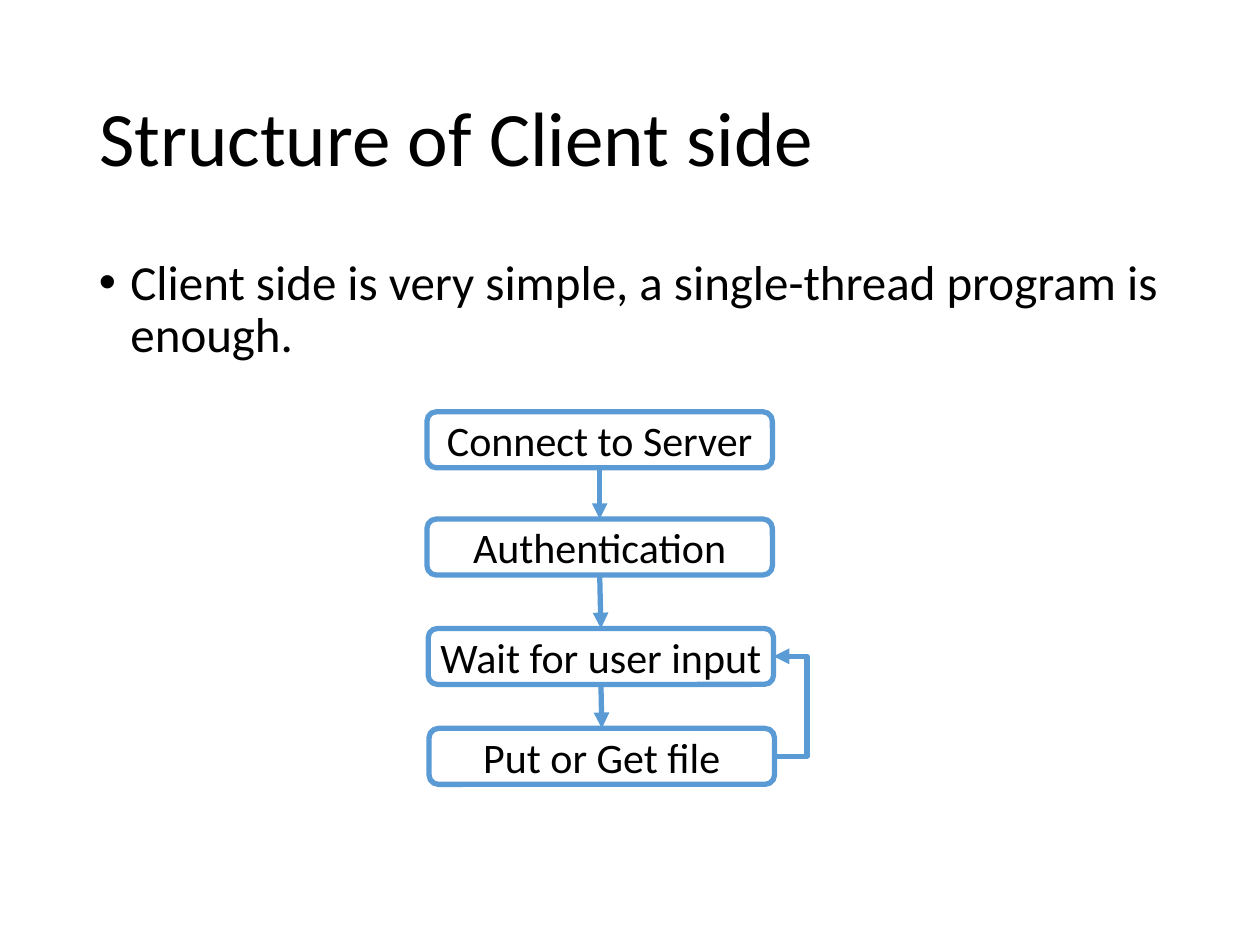
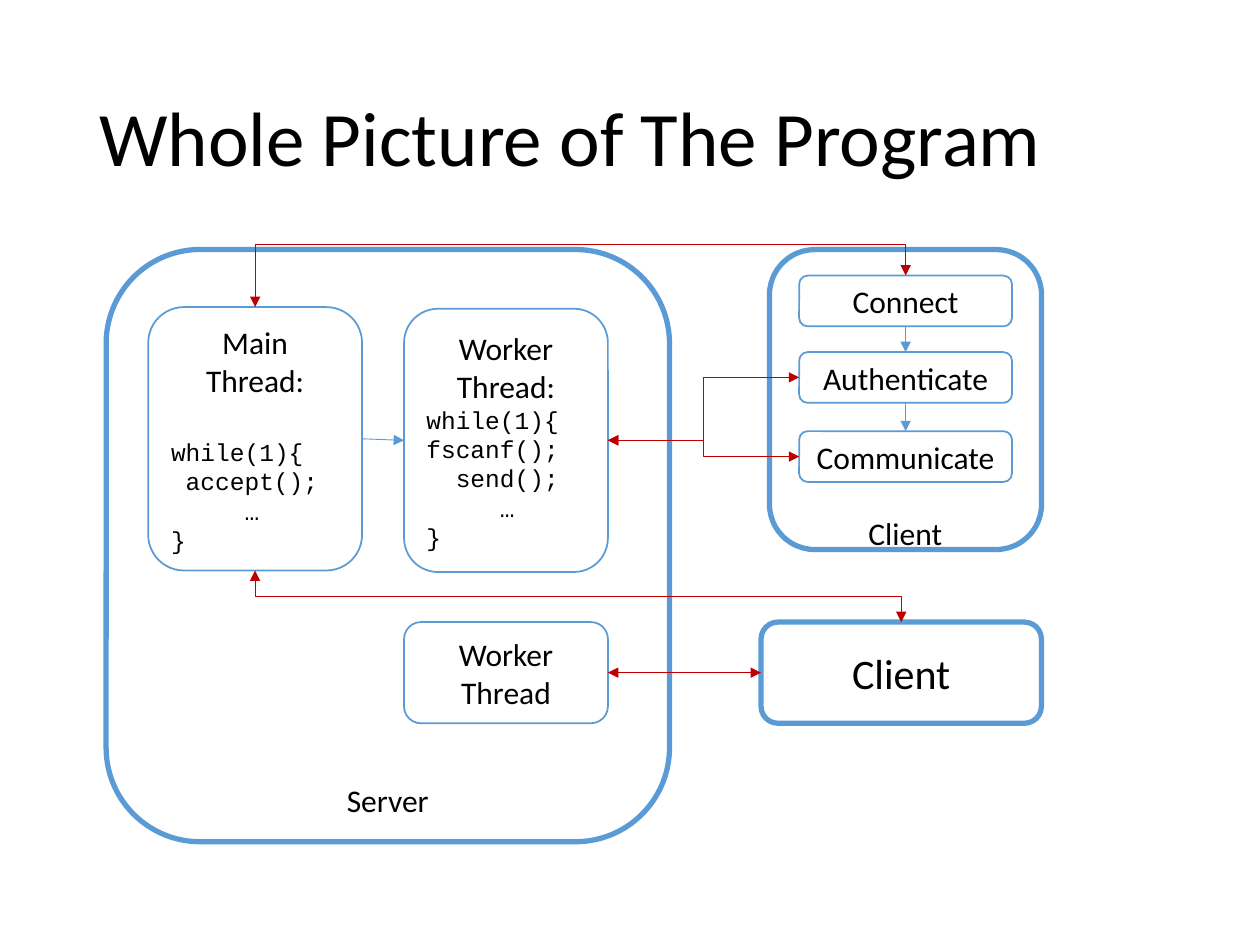
"""Build two slides on the client flow and the whole program."""
from dataclasses import dataclass
from itertools import pairwise
from typing import NamedTuple

from lxml import etree
from pptx import Presentation
from pptx.dml.color import RGBColor
from pptx.enum.shapes import MSO_CONNECTOR, MSO_SHAPE
from pptx.enum.text import MSO_ANCHOR, MSO_AUTO_SIZE, PP_ALIGN
from pptx.oxml.ns import qn
from pptx.util import Pt

ROUND = MSO_SHAPE.ROUNDED_RECTANGLE
LINE, ELBOW = MSO_CONNECTOR.STRAIGHT, MSO_CONNECTOR.ELBOW
TOP, MIDDLE = MSO_ANCHOR.TOP, MSO_ANCHOR.MIDDLE
LEFT, CENTER = PP_ALIGN.LEFT, PP_ALIGN.CENTER
FIXED = MSO_AUTO_SIZE.NONE

BLACK = RGBColor(0x00, 0x00, 0x00)
WHITE = RGBColor(0xFF, 0xFF, 0xFF)
BLUE = RGBColor(0x5B, 0x9B, 0xD5)
RED = RGBColor(0xC0, 0x00, 0x00)
SANS, MONO = "Calibri", "Courier New"
THICK, THIN, HAIR = 3, 1, 0.5
CHAR = 8.4
BOTH = ("headEnd", "tailEnd")
AHEAD = ("tailEnd",)

TIGHT = {"margin_left": Pt(5), "margin_right": Pt(5),
         "margin_top": Pt(2.7), "margin_bottom": Pt(2.7)}
HEADING = {"line_spacing": 0.9, "alignment": LEFT}
BULLET = {**HEADING, "space_before": Pt(10)}


class Point(NamedTuple):
    x: float
    y: float


class Row(NamedTuple):
    text: str
    size: float = 18
    font: str = SANS
    form: dict = {"alignment": CENTER}
    indent: float = 0


@dataclass
class Box:
    x: float
    y: float
    w: float
    h: float
    rows: tuple = ()
    edge: float = THIN
    frame: tuple = ()

    @property
    def area(self) -> list:
        return [Pt(v) for v in (self.x, self.y, self.w, self.h)]

    @property
    def north(self) -> Point:
        return Point(self.x + self.w / 2, self.y)

    @property
    def south(self) -> Point:
        return Point(self.x + self.w / 2, self.y + self.h)

    @property
    def west(self) -> Point:
        return Point(self.x, self.y + self.h / 2)

    @property
    def east(self) -> Point:
        return Point(self.x + self.w, self.y + self.h / 2)


def apply(item, form: dict) -> None:
    for key, value in form.items():
        setattr(item, key, value)


def write(frame, rows: tuple, form: dict) -> None:
    apply(frame, {"word_wrap": True, "auto_size": FIXED, **form})
    for spot, row in enumerate(rows):
        para = frame.add_paragraph() if spot else frame.paragraphs[0]
        apply(para, row.form)
        if row.indent:
            para._p.get_or_add_pPr().set("marL", str(Pt(row.indent)))
        run = para.add_run()
        run.text = row.text
        apply(run.font, {"size": Pt(row.size), "name": row.font})
        run.font.color.rgb = BLACK


def draw(shapes, box: Box) -> None:
    shape = shapes.add_shape(ROUND, *box.area)
    shape.shadow.inherit = False
    shape.fill.solid()
    shape.fill.fore_color.rgb = WHITE
    shape.line.color.rgb = BLUE
    shape.line.width = Pt(box.edge)
    write(shape.text_frame, box.rows,
          {"vertical_anchor": MIDDLE, **dict(box.frame)})


def label(shapes, box: Box, form: dict) -> None:
    write(shapes.add_textbox(*box.area).text_frame, box.rows, form)


def link(shapes, start: Point, end: Point, color: RGBColor = BLUE,
         width: float = HAIR, heads: tuple = AHEAD, kind=LINE):
    line = shapes.add_connector(kind, *(Pt(v) for v in (*start, *end)))
    line.line.color.rgb = color
    line.line.width = Pt(width)
    props = line._element.spPr
    for head in heads:
        etree.SubElement(props.find(qn("a:ln")), qn("a:" + head), type="triangle")
    etree.SubElement(props, qn("a:effectLst"))
    return line


def bend(shapes, start: Point, end: Point, turn: float, upright: bool = False,
         color: RGBColor = RED, width: float = HAIR, heads: tuple = BOTH) -> None:
    dx, dy = end.x - start.x, end.y - start.y
    ratio = (turn - start.y) / dy if upright else (turn - start.x) / dx
    if upright:
        mid = Point((start.x + end.x) / 2, (start.y + end.y) / 2)
        start = Point(mid.x - dy / 2, mid.y + dx / 2)
        end = Point(mid.x + dy / 2, mid.y - dx / 2)
    line = link(shapes, start, end, color, width, heads, ELBOW)
    props = line._element.spPr
    if upright:
        props.find(qn("a:xfrm")).set("rot", "5400000")
    geom = props.find(qn("a:prstGeom"))
    guides = geom.find(qn("a:avLst"))
    if guides is None:
        guides = etree.SubElement(geom, qn("a:avLst"))
    etree.SubElement(guides, qn("a:gd"), name="adj1",
                     fmla=f"val {round(ratio * 100000)}")


def start_slide(deck, text: str):
    slide = deck.slides.add_slide(deck.slide_layouts[5])
    title = slide.shapes.title
    area = (49.5, 28.75, 621, 104.4)
    apply(title, dict(zip(("left", "top", "width", "height"), map(Pt, area))))
    write(title.text_frame, (Row(text, 44, form=HEADING),),
          {"vertical_anchor": MIDDLE})
    return slide.shapes


def code(text: str, chars: int = 0, gap: float = 0) -> Row:
    form = {"alignment": LEFT, "space_before": Pt(gap)}
    return Row(text, 14, MONO, form, chars * CHAR)


def big(text: str) -> tuple:
    return (Row(text, 24),)


def client_side(deck) -> None:
    shapes = start_slide(deck, "Structure of Client side")
    body = Box(49.5, 143.75, 621, 342.6, (Row(
        "Client side is very simple, a single-thread program is enough.",
        28, form=BULLET, indent=18),))
    label(shapes, body, {"vertical_anchor": TOP})
    props = shapes[-1].text_frame.paragraphs[0]._p.get_or_add_pPr()
    props.set("indent", str(-Pt(18)))
    etree.SubElement(props, qn("a:buFont"), typeface="Arial")
    etree.SubElement(props, qn("a:buChar"), char="•")

    tight = tuple(TIGHT.items())
    steps = [Box(x, y, 197.4, 32, big(text), THICK, tight) for x, y, text in (
        (244, 235.3, "Connect to Server"),
        (244, 296.6, "Authentication"),
        (244.7, 359.1, "Wait for user input"),
        (245.2, 416.2, "Put or Get file"))]
    for step in steps:
        draw(shapes, step)
    for last, new in pairwise(steps):
        link(shapes, last.south, new.north, width=THICK)
    bend(shapes, steps[3].east, steps[2].east, 460.8, color=BLUE,
         width=THICK, heads=AHEAD)


def whole(deck) -> None:
    shapes = start_slide(deck, "Whole Picture of The Program")
    draw(shapes, Box(60.7, 142.6, 321.9, 338.4, edge=THICK))
    label(shapes, Box(190.6, 442.8, 62, 28.8, (Row("Server"),)),
          {"word_wrap": False})

    tail = (code("…", 5), code("}"))
    main = Box(84.7, 175.5, 122.2, 150.5, (
        Row("Main"), Row("Thread:"), code("while(1){", gap=22),
        code("accept();", 1), *tail))
    worker = Box(230.9, 176.4, 116.5, 150.5, (
        Row("Worker"), Row("Thread:"), code("while(1){"),
        code("fscanf();"), code("send();", 2), *tail))
    for box in (main, worker):
        draw(shapes, box)
    link(shapes, main.east, worker.west)

    group = shapes.add_group_shape().shapes
    draw(group, Box(439.7, 142.6, 155.5, 171.4, edge=THICK))
    steps = [Box(456.7, y, 121.6, 29, (Row(text),)) for y, text in (
        (157.5, "Connect"), (201.2, "Authenticate"), (246.4, "Communicate"))]
    for step in steps:
        draw(group, step)
    for last, new in pairwise(steps):
        link(group, last.south, new.north)
    label(group, Box(488.8, 290.2, 57, 28.8, (Row("Client"),)),
          {"word_wrap": False})

    bend(shapes, main.north, steps[0].north, 139.7, upright=True)
    for step in steps[1:]:
        bend(shapes, worker.east, step.west, 402)

    spare = Box(230.9, 355.5, 116.5, 57.8, (Row("Worker"), Row("Thread")))
    client = Box(434.9, 355.5, 160.2, 57.8, big("Client"), THICK,
                 tuple(TIGHT.items()))
    for box in (spare, client):
        draw(shapes, box)
    link(shapes, spare.east, client.west, RED, heads=BOTH)
    bend(shapes, client.north, main.south, 340.8, upright=True)


def build() -> None:
    deck = Presentation()
    apply(deck, {"slide_width": Pt(720), "slide_height": Pt(540)})
    client_side(deck)
    whole(deck)
    deck.save("out.pptx")


build()
